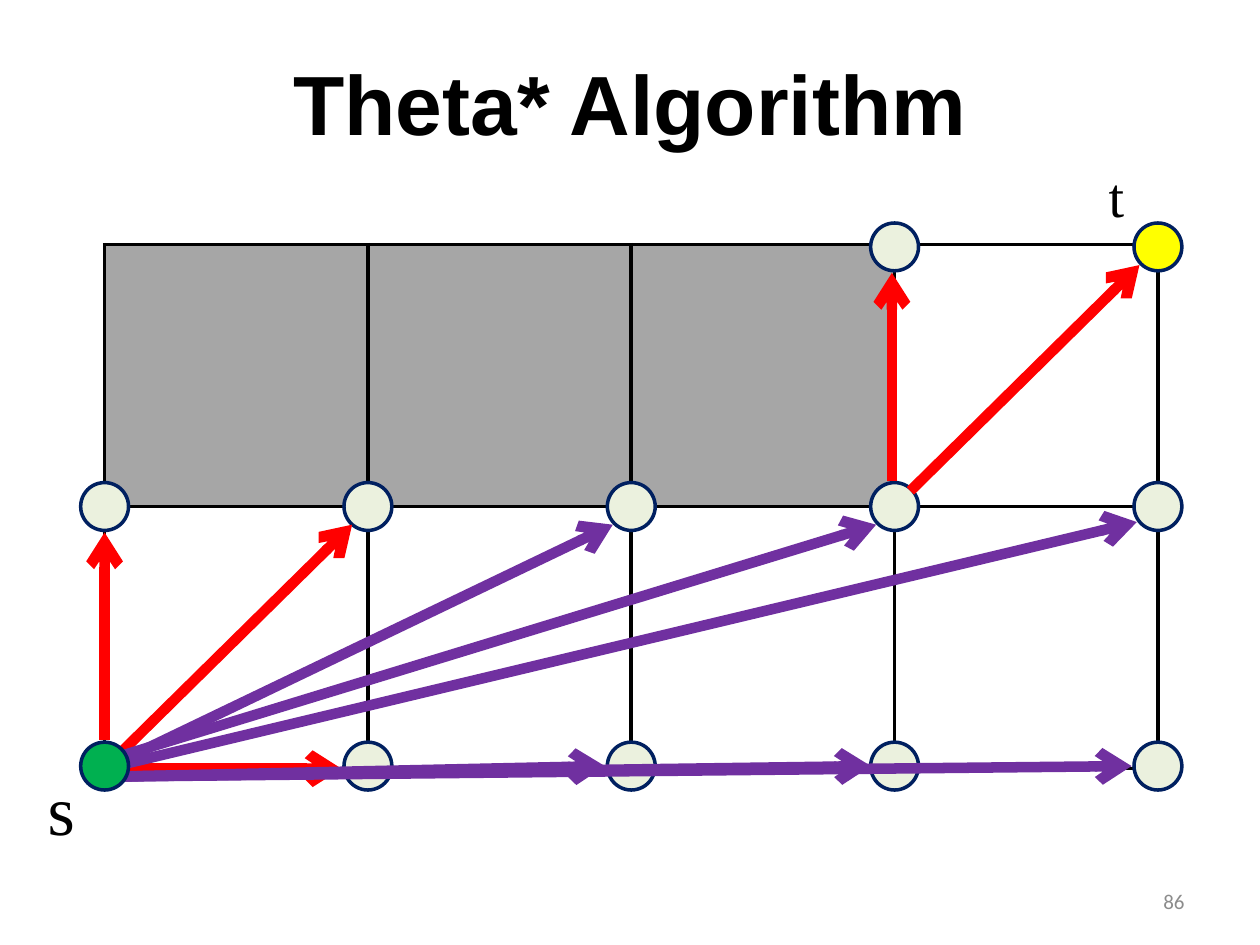
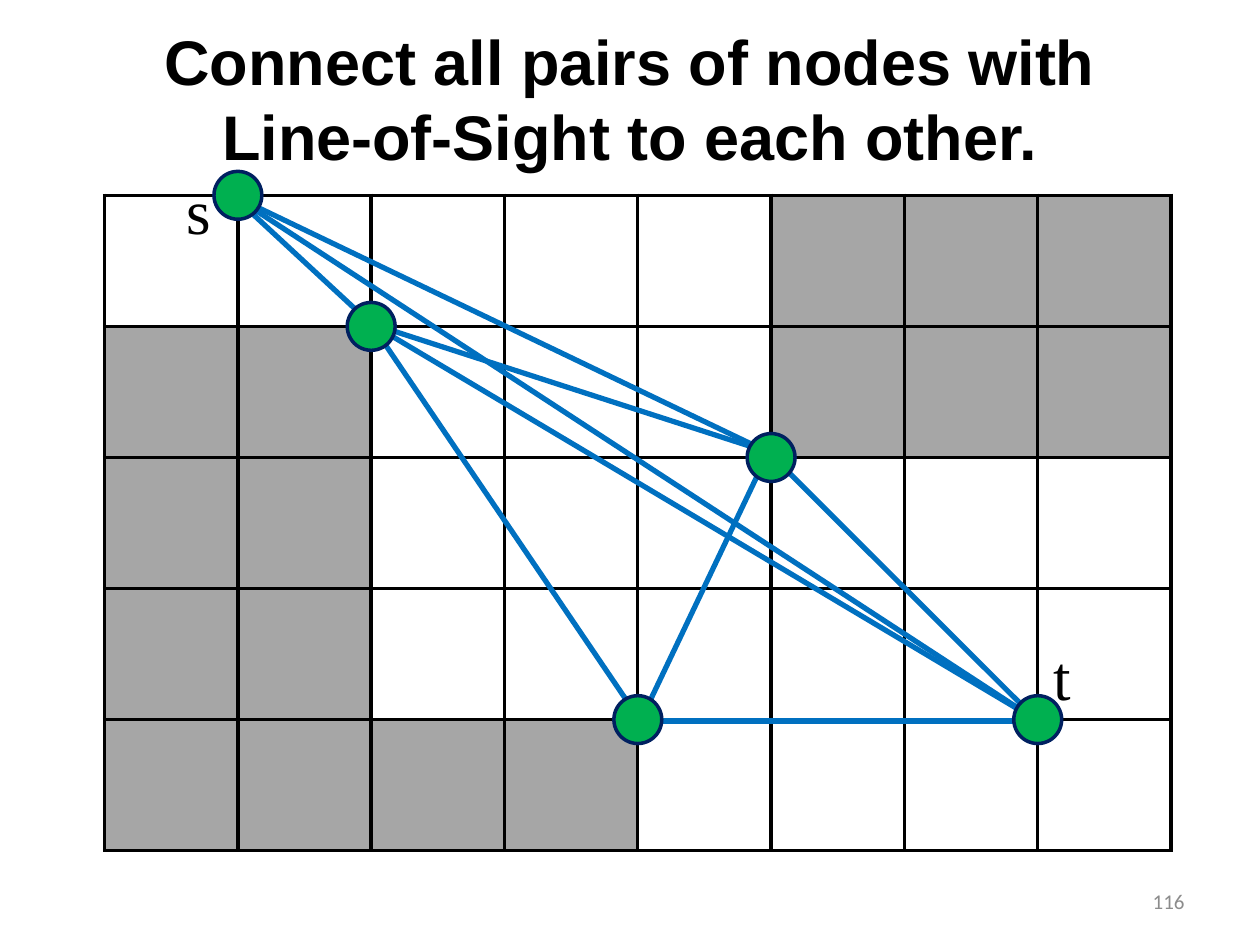
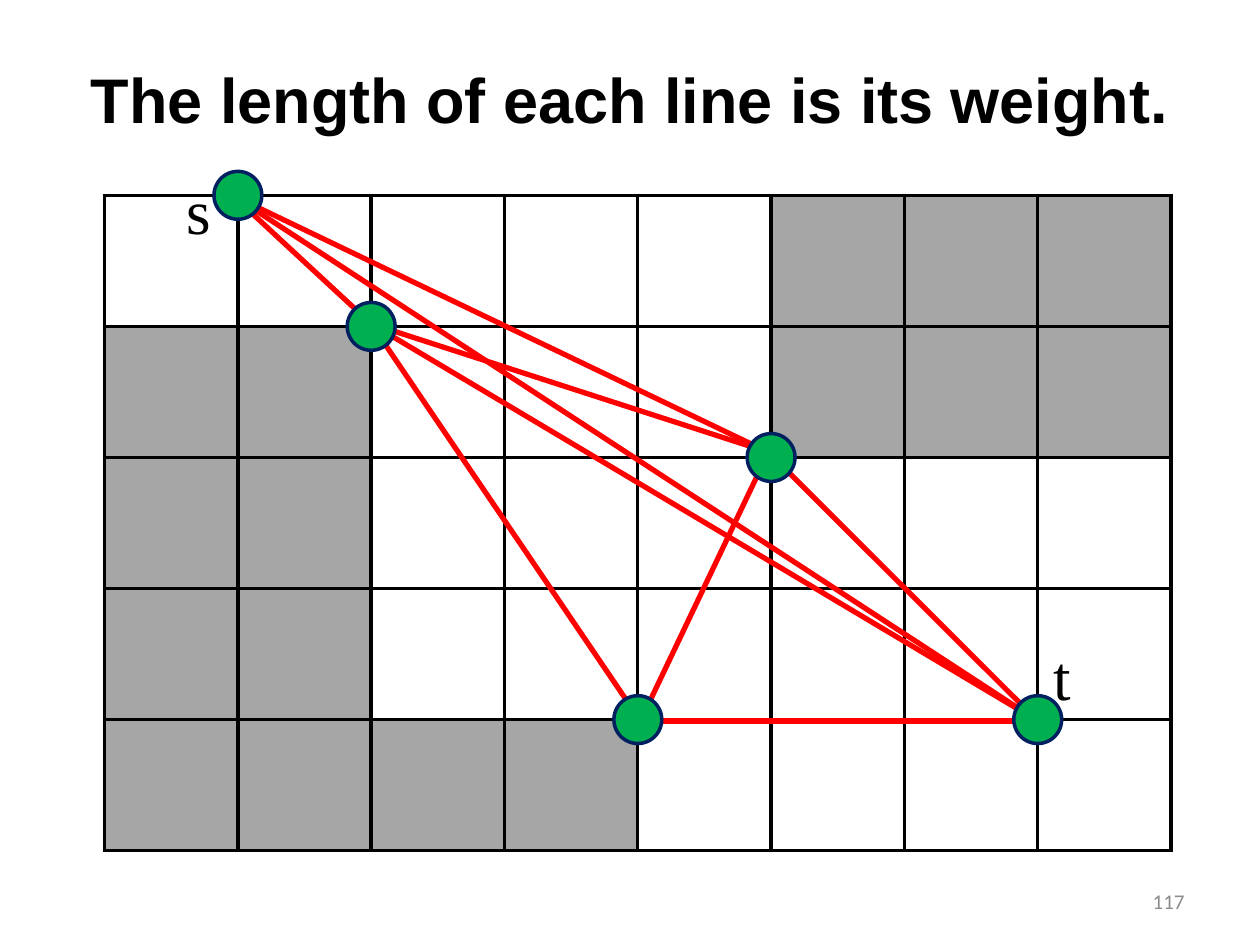
from dataclasses import dataclass
from itertools import combinations, product

from lxml.etree import SubElement
from pptx import Presentation
from pptx.dml.color import RGBColor
from pptx.enum.shapes import MSO_CONNECTOR, MSO_SHAPE
from pptx.enum.text import MSO_ANCHOR, MSO_AUTO_SIZE, PP_ALIGN
from pptx.oxml.ns import qn
from pptx.util import Inches, Pt

WIDTH, HEIGHT = Inches(10), Inches(7.5)


@dataclass(frozen=True)
class Theme:
    black: str = "000000"
    wall: str = "A6A6A6"
    navy: str = "002060"
    green: str = "00B050"
    pale: str = "EBF1DE"
    yellow: str = "FFFF00"
    red: str = "FF0000"
    blue: str = "0070C0"
    purple: str = "7030A0"
    grey: str = "8C8C8C"
    head: str = "Arial"
    label: str = "Times New Roman"
    foot: str = "Calibri"
    big: int = 48
    mid: int = 36
    small: int = 12
    border: float = 2.25
    rim: int = 2
    link: int = 3
    arrow: int = 6


THEME = Theme()


@dataclass(frozen=True)
class Grid:
    """Corner and cell size, in percent of the slide's width and height."""
    left: float
    top: float
    wide: float
    high: float

    def point(self, col, row):
        return across(self.left + col * self.wide), down(self.top + row * self.high)


def across(share):
    return round(WIDTH * share / 100)


def down(share):
    return round(HEIGHT * share / 100)


# The junctions of the first map sit a little inside its cell lines.
CELLS = Grid(8.3, 25.87, 20.9, 27.73)
JOINTS = Grid(8.3, 26.13, 20.9, 27.47)
FIELD = Grid(8.3, 20.67, 10.58, 13.87)

CELL_MAP = ("###.", "....")
FIELD_MAP = (".....###", "##...###", "##......", "##......", "####....")

RED_STEPS = (
    ((0.07, 1.94), (0.94, 1.07)),
    ((0, 1.9), (0, 1.1)),
    ((0.07, 2.01), (0.9, 2.01)),
    ((3.06, 0.94), (3.93, 0.07)),
    ((2.99, 0.9), (2.99, 0.1)),
)
LONG_STEPS = (
    ((0, 2.01), (1.93, 1.07)),
    ((0.06, 2.04), (1.9, 2)),
    ((0, 2.01), (3.92, 1.06)),
    ((0.06, 2.04), (3.9, 2)),
    ((0, 1.98), (2.93, 1.07)),
    ((0.06, 2.04), (2.91, 2)),
)
NODES = {"s": (1, 0), "a": (2, 1), "b": (5, 2), "c": (4, 4), "t": (7, 4)}
# Sight lines meet slightly off the node centres.
HUBS = {"s": (0.96, 0), "a": (2, 0.98), "b": (4.98, 1.96), "c": (4.02, 4.01), "t": (7, 4.01)}
HIDDEN = {("s", "c")}


def color(code):
    return RGBColor.from_string(code)


def write(para, text, font, size, code, bold=False):
    run = para.add_run()
    run.text = text
    run.font.name, run.font.size, run.font.bold = font, Pt(size), bold
    run.font.color.rgb = color(code)


def add_title(slide, lines, size, top, wide, high):
    shape = slide.shapes.title
    shape.left, shape.top = across((100 - wide) / 2), down(top)
    shape.width, shape.height = across(wide), down(high)
    frame = shape.text_frame
    frame.auto_size = MSO_AUTO_SIZE.NONE
    frame.word_wrap = False
    frame.vertical_anchor = MSO_ANCHOR.TOP
    for i, line in enumerate(lines):
        para = frame.add_paragraph() if i else frame.paragraphs[0]
        para.alignment = PP_ALIGN.CENTER
        write(para, line, THEME.head, size, THEME.black, True)


def add_text(slide, left, top, wide, high):
    box = slide.shapes.add_textbox(across(left), down(top), across(wide), down(high))
    box.text_frame.word_wrap = True
    return box.text_frame


def add_label(slide, text, left, top, size=THEME.mid):
    frame = add_text(slide, left, top, 4.4, 9.5)
    write(frame.paragraphs[0], text, THEME.label, size, THEME.black)


def add_number(slide, number):
    frame = add_text(slide, 71.7, 92.7, 23.3, 5.3)
    frame.vertical_anchor = MSO_ANCHOR.MIDDLE
    frame.paragraphs[0].alignment = PP_ALIGN.RIGHT
    write(frame.paragraphs[0], str(number), THEME.foot, THEME.small, THEME.grey)


def add_border(cell):
    props = cell._tc.get_or_add_tcPr()
    for side in ("lnL", "lnR", "lnT", "lnB"):
        line = SubElement(props, qn(f"a:{side}"), w=str(Pt(THEME.border)))
        fill = SubElement(line, qn("a:solidFill"))
        SubElement(fill, qn("a:srgbClr"), val=THEME.black)


def add_map(slide, grid, rows):
    """Draw a table of cells in which # is a blocked cell."""
    count = len(rows[0])
    left, top = grid.point(0, 0)
    table = slide.shapes.add_table(
        len(rows), count, left, top,
        across(count * grid.wide), down(len(rows) * grid.high)).table
    table.first_row = table.horz_banding = False
    for r, row in enumerate(rows):
        for c, mark in enumerate(row):
            cell = table.cell(r, c)
            add_border(cell)
            if mark == "#":
                cell.fill.solid()
                cell.fill.fore_color.rgb = color(THEME.wall)
            else:
                cell.fill.background()


def add_node(slide, grid, spot, code):
    x, y = grid.point(*spot)
    size = Inches(0.38)
    node = slide.shapes.add_shape(
        MSO_SHAPE.OVAL, x - size // 2, y - size // 2, size, size)
    node.shadow.inherit = False
    node.fill.solid()
    node.fill.fore_color.rgb = color(code)
    node.line.color.rgb = color(THEME.navy)
    node.line.width = Pt(THEME.rim)


def add_line(slide, grid, start, end, code, weight, arrow=False):
    line = slide.shapes.add_connector(
        MSO_CONNECTOR.STRAIGHT, *grid.point(*start), *grid.point(*end))
    line.line.color.rgb = color(code)
    line.line.width = Pt(weight)
    if arrow:
        SubElement(line.line._get_or_add_ln(), qn("a:tailEnd"), type="arrow")
    SubElement(line._element.spPr, qn("a:effectLst"))


def add_slide(deck, number, lines, size, top, wide, high):
    slide = deck.slides.add_slide(deck.slide_layouts[5])
    add_title(slide, lines, size, top, wide, high)
    add_number(slide, number)
    return slide


def draw_search(slide):
    add_map(slide, CELLS, CELL_MAP)
    add_label(slide, "s", 2.8, 80.4, 40)
    add_label(slide, "t", 87, 16.4, 32)
    for spot in [(3, 0), *product(range(5), (1, 2))]:
        if spot != (0, 2):
            add_node(slide, JOINTS, spot, THEME.pale)
    add_node(slide, JOINTS, (4, 0), THEME.yellow)
    for steps, code in ((RED_STEPS, THEME.red), (LONG_STEPS, THEME.purple)):
        for start, end in steps:
            add_line(slide, JOINTS, start, end, code, THEME.arrow, True)
    add_node(slide, JOINTS, (0, 2), THEME.green)


def draw_sight(slide, code):
    """Join every pair of nodes that can see each other."""
    add_map(slide, FIELD, FIELD_MAP)
    for pair in combinations(HUBS, 2):
        if pair not in HIDDEN:
            add_line(slide, FIELD, HUBS[pair[0]], HUBS[pair[1]], code, THEME.link)
    for spot in NODES.values():
        add_node(slide, FIELD, spot, THEME.green)
    add_label(slide, "s", 13.8, 17.5)
    add_label(slide, "t", 82.6, 66.8)


def main():
    deck = Presentation()
    deck.slide_width, deck.slide_height = WIDTH, HEIGHT
    draw_search(add_slide(deck, 86, ["Theta* Algorithm"], THEME.big, 4.8, 56, 12.1))
    pairs = ["Connect all pairs of nodes with", "Line-of-Sight to each other."]
    draw_sight(add_slide(deck, 116, pairs, THEME.mid, 1.7, 76.6, 17.5), THEME.blue)
    weight = ["The length of each line is its weight."]
    draw_sight(add_slide(deck, 117, weight, THEME.mid, 5.7, 88.4, 9.5), THEME.red)
    deck.save("out.pptx")


if __name__ == "__main__":
    main()
